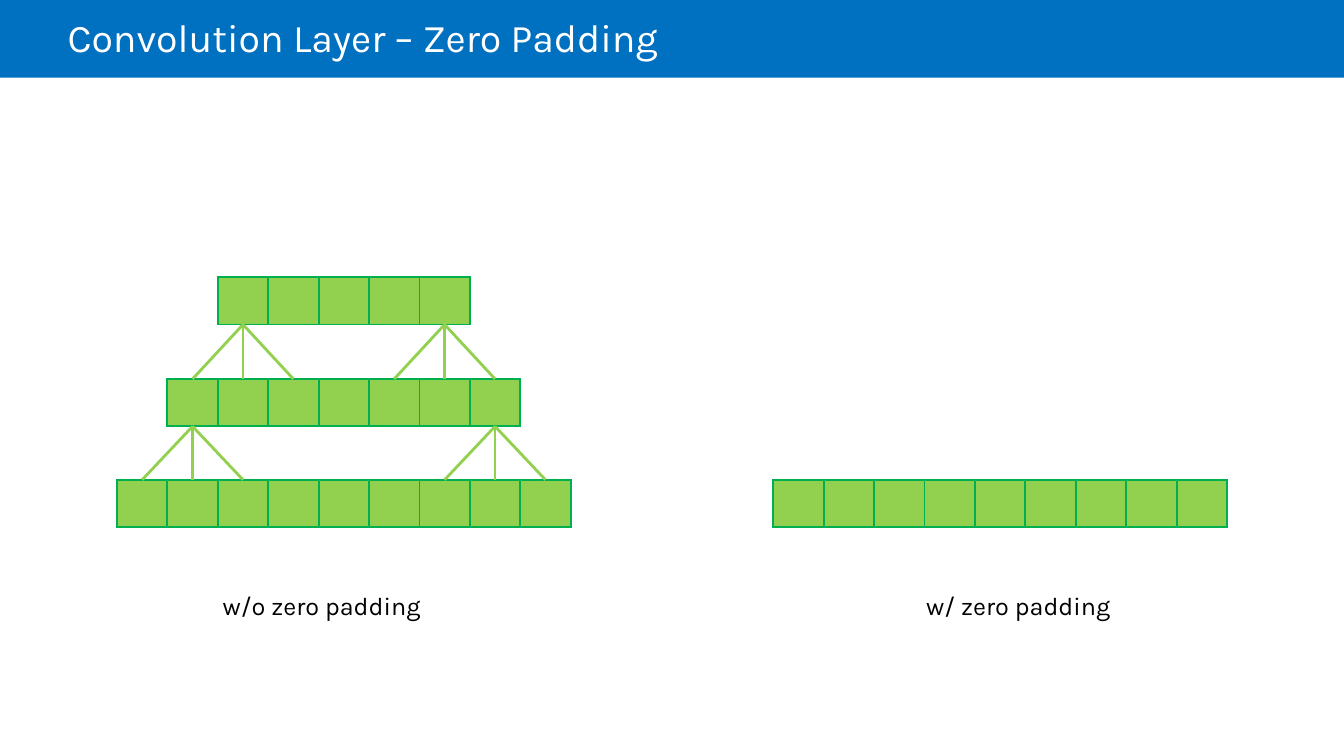
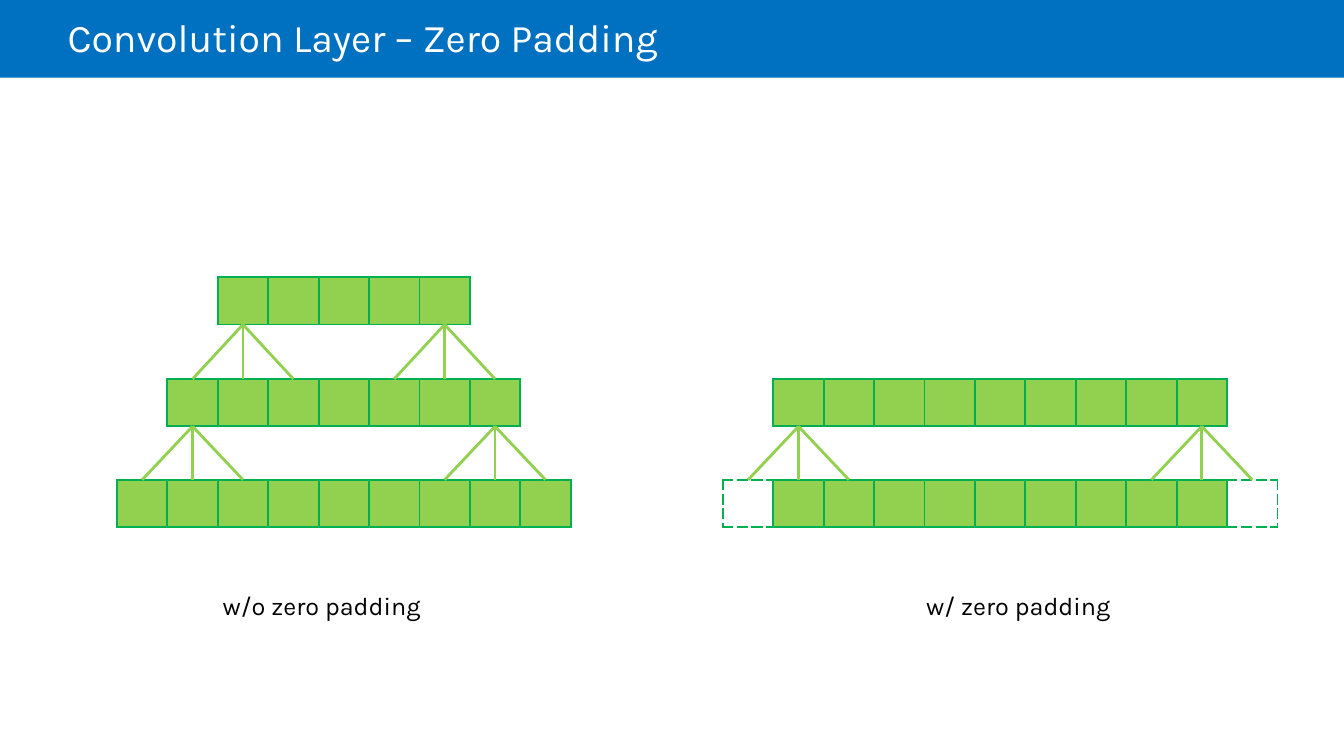
from dataclasses import dataclass

from lxml import etree
from pptx import Presentation
from pptx.dml.color import RGBColor
from pptx.enum import shapes as es, text as et
from pptx.oxml import ns
from pptx.util import Inches, Pt


@dataclass(frozen=True)
class Theme:
    band: str = "0070C0"
    cell: str = "92D050"
    edge: str = "00B050"
    light: str = "FFFFFF"
    dark: str = "000000"
    font: str = "Karla"
    head: int = 28
    label: int = 18
    rule: float = 1.5
    ray: int = 2


T = Theme()
WIDE, HIGH = 13.33, 7.5
COLS, SIDE, TALL = 11, 0.5, 0.47
TOPS = (4.76, 3.76, 2.75)  # row tops, from the input upwards
TITLE = "Convolution Layer – Zero Padding"


def rgb(code):
    return RGBColor.from_string(code)


def put(item, values):
    for name, value in values.items():
        setattr(item, name, value)


def write(frame, words, size, color, **para):
    frame.text = words
    line = frame.paragraphs[0]
    put(line, para)
    font = line.runs[0].font
    put(font, {"name": T.font, "size": Pt(size)})
    font.color.rgb = rgb(color)


# Shared band and title place, kept on the layout
def set_base(layout, slide):
    for holder in list(layout.placeholders):
        if holder.placeholder_format.idx:
            holder.element.getparent().remove(holder.element)
    put(layout.placeholders[0], {
        "left": Inches(0.67), "top": 0,
        "width": Inches(11.34), "height": Inches(0.81)})
    band = slide.shapes.add_shape(
        es.MSO_SHAPE.RECTANGLE, 0, 0, Inches(WIDE), Inches(0.77))
    band.shadow.inherit = False
    band.fill.solid()
    band.fill.fore_color.rgb = rgb(T.band)
    band.line.fill.background()
    layout.shapes.element.insert(2, band.element)


def add_title(slide):
    frame = slide.shapes.title.text_frame
    put(frame, {
        "margin_left": 0, "margin_right": Inches(0.1),
        "margin_top": Inches(0.05), "margin_bottom": Inches(0.05),
        "vertical_anchor": et.MSO_ANCHOR.MIDDLE,
        "auto_size": et.MSO_AUTO_SIZE.NONE})
    write(frame, TITLE, T.head, T.light,
          alignment=et.PP_ALIGN.LEFT, line_spacing=0.85)


# Cell borders: each side is None, "solid" or a dash name
def set_edges(cell, sides):
    props = cell._tc.get_or_add_tcPr()
    for spot, (side, dash) in enumerate(sides.items()):
        line = etree.Element(ns.qn(f"a:ln{side}"), w=str(Pt(T.rule)))
        if dash:
            fill = etree.SubElement(line, ns.qn("a:solidFill"))
            etree.SubElement(fill, ns.qn("a:srgbClr"), val=T.edge)
            etree.SubElement(line, ns.qn("a:prstDash"), val=dash)
        else:
            etree.SubElement(line, ns.qn("a:noFill"))
        props.insert(spot, line)


# One row: count filled cells, centred among the columns
def add_row(slide, left, top, count, pad):
    table = slide.shapes.add_table(
        1, COLS, Inches(left), Inches(top),
        Inches(COLS * SIDE), Inches(TALL)).table
    put(table, {"first_row": False, "horz_banding": False})
    first = (COLS - count) // 2
    last = first + count - 1
    for col in range(COLS):
        table.columns[col].width = Inches(SIDE)
        cell = table.cell(0, col)
        if first <= col <= last:
            cell.fill.solid()
            cell.fill.fore_color.rgb = rgb(T.cell)
            sides = dict.fromkeys("LRTB", "solid")
        else:
            cell.fill.background()
            sides = dict.fromkeys("LRTB", "sysDash" if pad else None)
            if col == first - 1:
                sides["R"] = "solid"
            if col == last + 1:
                sides["L"] = "solid"
        set_edges(cell, sides)
    return first, last


# Three rays from one output cell to the inputs it reads
def add_fan(slide, left, col, top, foot):
    mid = left + (col + 0.5) * SIDE
    for step in (-1, 0, 1):
        ray = slide.shapes.add_connector(
            es.MSO_CONNECTOR.STRAIGHT, Inches(mid), Inches(top),
            Inches(mid + step * SIDE), Inches(foot))
        ray.line.color.rgb = rgb(T.cell)
        ray.line.width = Pt(T.ray)
        etree.SubElement(ray.element.spPr, ns.qn("a:effectLst"))


def add_label(slide, left, words):
    box = slide.shapes.add_textbox(
        Inches(left), Inches(5.81), Inches(3.04), Inches(0.4))
    box.text_frame.word_wrap = True
    write(box.text_frame, words, T.label, T.dark,
          alignment=et.PP_ALIGN.CENTER)


# A stack of rows with fans between them and a label below
def add_stack(slide, left, counts, words, shift, pad=False):
    ends = [add_row(slide, left, top, count, pad and not level)
            for level, (top, count) in enumerate(zip(TOPS, counts))]
    for level in range(1, len(counts)):
        for col in ends[level]:
            add_fan(slide, left, col, TOPS[level] + TALL, TOPS[level - 1])
    add_label(slide, left + shift, words)


def main():
    deck = Presentation()
    put(deck, {"slide_width": Inches(WIDE), "slide_height": Inches(HIGH)})
    layout = deck.slide_layouts[5]
    for counts in ((9,), (9, 9)):
        slide = deck.slides.add_slide(layout)
        if len(deck.slides) == 1:
            set_base(layout, slide)
        add_title(slide)
        add_stack(slide, 0.66, (9, 7, 5), "w/o zero padding", 1.01)
        add_stack(slide, 7.17, counts, "w/ zero padding", 1.41,
                  pad=len(counts) > 1)
    deck.save("out.pptx")


if __name__ == "__main__":
    main()
